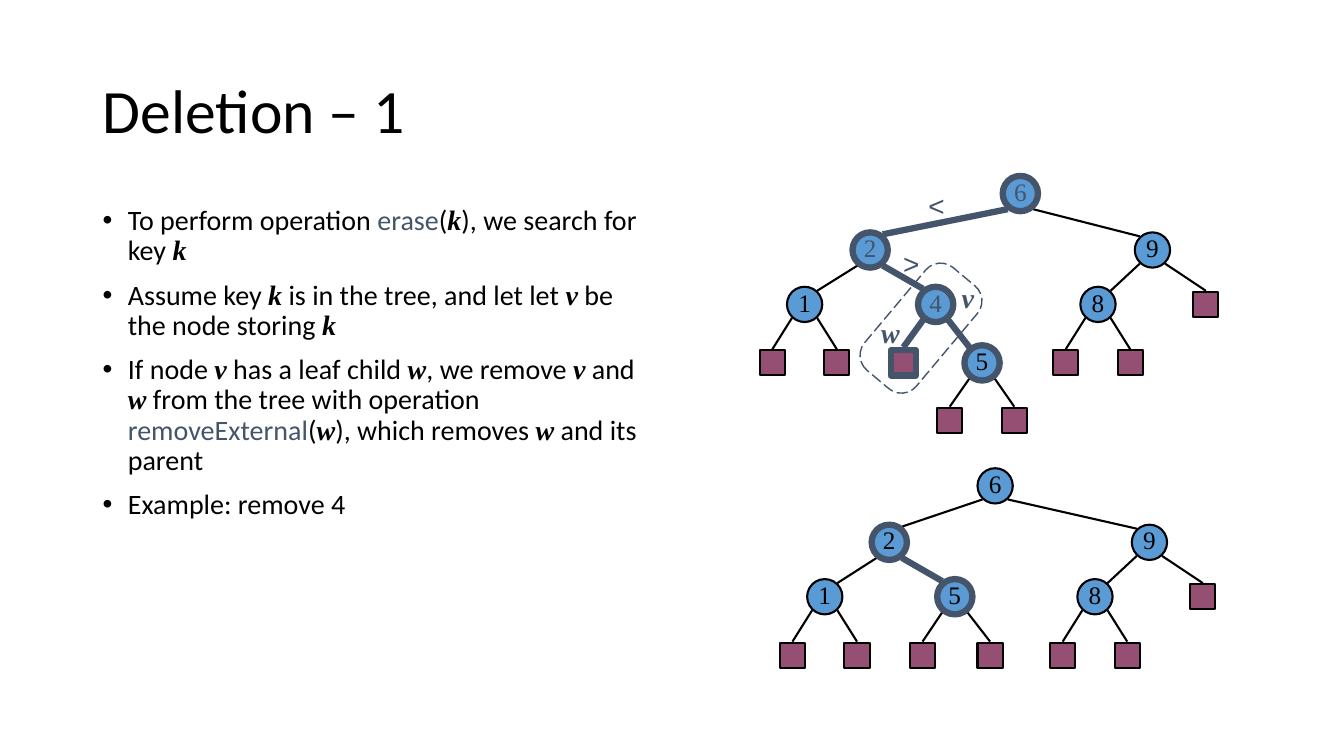
from dataclasses import dataclass
from lxml.etree import SubElement
from pptx import Presentation
from pptx.dml.color import RGBColor
from pptx.enum.dml import MSO_LINE as Dash
from pptx.enum.shapes import MSO_CONNECTOR as Link, MSO_SHAPE as Kind
from pptx.enum.text import MSO_ANCHOR as Anchor, MSO_AUTO_SIZE as Fit, PP_ALIGN as Align
from pptx.oxml.ns import qn
from pptx.util import Inches, Pt

BLACK = RGBColor(0x00, 0x00, 0x00)
SLATE = RGBColor(0x44, 0x54, 0x6A)
BLUE = RGBColor(0x5B, 0x9B, 0xD5)
PLUM = RGBColor(0x95, 0x4F, 0x72)

SERIF = "Times New Roman"
PLAIN = {"name": "Calibri", "size": Pt(20)}
VAR = {"name": SERIF, "size": Pt(20), "bold": True, "italic": True}
SIGN = {"name": "Arial", "size": Pt(20)}
KEY = {"name": SERIF, "size": Pt(18)}
HEAD = {"name": "Calibri", "size": Pt(44)}

ROWS = [0, 0.56, 1.1, 1.68, 2.25]
NODE, LEAF, SIDE = 0.35, 0.25, 0.125

POINTS = [
    "To perform operation *erase*(*k*), we search for key *k*",
    "Assume key *k* is in the tree, and let let *v* be the node storing *k*",
    "If node *v* has a leaf child *w*, we remove *v* and *w* from the tree "
    "with operation *removeExternal*(*w*), which removes *w* and its parent",
    "Example: remove 4",
]

LABELS = [
    ("v", 9.44, 2.73, 0.32, VAR),
    ("w", 8.64, 3.08, 0.39, VAR),
    ("<", 9.11, 1.82, 0.35, SIGN),
    (">", 8.86, 2.4, 0.35, SIGN),
]


@dataclass
class Node:
    key: str
    x: float
    kids: tuple = ()
    bold: bool = False
    ink: RGBColor = BLACK


def leaf(x, bold=False):
    return Node("", x, bold=bold)


def twig(key, x, bold=False, left=0.32, right=0.32):
    return Node(key, x, (leaf(x - left), leaf(x + right)), bold)


def right(x):
    return Node("9", x, (twig("8", x - 0.54), leaf(x + 0.53)))


FOUR = Node("4", 9.28, (leaf(8.96, True), twig("5", 9.74, True)), True, SLATE)
TWO = Node("2", 8.63, (twig("1", 7.98), FOUR), True, SLATE)
BEFORE = Node("6", 10.12, (TWO, right(11.43)), True, SLATE)

FIVE = twig("5", 9.47, True, right=0.35)
AFTER = Node("6", 9.87, (
    Node("2", 8.82, (twig("1", 8.18), FIVE), True),
    right(11.4),
))


def style(item, form):
    for name, value in form.items():
        setattr(item, name, value)


def write(para, text, form, ink):
    run = para.add_run()
    run.text = text
    style(run.font, form)
    run.font.color.rgb = ink


def stroke(line, ink, width):
    line.color.rgb = ink
    line.width = Pt(width)


def pen(bold):
    return (SLATE, 4.5) if bold else (BLACK, 1.5)


def tip(node):
    return 0.155 if node.bold else 0.135


def edge(slide, top, y, kid, low):
    way = 1 if kid.x > top.x else -1
    end = kid.x - way * SIDE if kid.key else kid.x
    line = slide.shapes.add_connector(
        Link.STRAIGHT, Inches(top.x + way * SIDE), Inches(y + tip(top)),
        Inches(end), Inches(low - tip(kid)))
    stroke(line.line, *pen(top.bold and kid.bold))
    SubElement(line._element.spPr, qn("a:effectLst"))


def mark(slide, node, y):
    size = NODE if node.key else LEAF
    kind = Kind.OVAL if node.key else Kind.RECTANGLE
    shape = slide.shapes.add_shape(
        kind, Inches(node.x - size / 2), Inches(y - size / 2), Inches(size), Inches(size))
    shape.shadow.inherit = False
    shape.fill.solid()
    shape.fill.fore_color.rgb = BLUE if node.key else PLUM
    stroke(shape.line, *pen(node.bold))
    if node.key:
        frame = shape.text_frame
        style(frame, {"margin_left": 0, "margin_right": 0, "margin_top": 0,
                      "margin_bottom": Inches(0.05), "word_wrap": False,
                      "vertical_anchor": Anchor.MIDDLE})
        para = frame.paragraphs[0]
        para.alignment = Align.CENTER
        write(para, node.key, KEY, node.ink)


def tree(slide, node, top, depth=0):
    y = top + ROWS[depth]
    for kid in node.kids:
        edge(slide, node, y, kid, top + ROWS[depth + 1])
        tree(slide, kid, top, depth + 1)
    mark(slide, node, y)


def label(slide, text, x, y, width, form):
    box = slide.shapes.add_textbox(Inches(x), Inches(y), Inches(width), Inches(0.43))
    style(box.text_frame, {"word_wrap": False, "auto_size": Fit.SHAPE_TO_FIT_TEXT})
    write(box.text_frame.paragraphs[0], text, form, SLATE)


def ring(slide):
    shape = slide.shapes.add_shape(
        Kind.ROUNDED_RECTANGLE, Inches(8.47), Inches(2.92), Inches(1.33), Inches(0.67))
    shape.adjustments[0] = 0.29
    shape.rotation = 310
    shape.shadow.inherit = False
    shape.fill.background()
    stroke(shape.line, SLATE, 1)
    shape.line.dash_style = Dash.LONG_DASH


def title(slide, text):
    head = slide.shapes.title
    style(head, {"left": Inches(0.92), "top": Inches(0.4),
                 "width": Inches(11.5), "height": Inches(1.45)})
    head.text_frame.vertical_anchor = Anchor.MIDDLE
    para = head.text_frame.paragraphs[0]
    style(para, {"alignment": Align.LEFT, "line_spacing": 0.9})
    write(para, text, HEAD, BLACK)


def bullet(para, text):
    style(para, {"line_spacing": 0.9, "space_before": Pt(10)})
    props = para._p.get_or_add_pPr()
    props.set("marL", str(Inches(0.25)))
    props.set("indent", str(-Inches(0.25)))
    SubElement(props, qn("a:buFont")).set("typeface", "Arial")
    SubElement(props, qn("a:buChar")).set("char", "•")
    for spot, part in enumerate(text.split("*")):
        if part:
            term = spot % 2 == 1
            form = VAR if term and len(part) == 1 else PLAIN
            write(para, part, form, SLATE if term and len(part) > 1 else BLACK)


def body(slide):
    box = slide.shapes.add_textbox(Inches(0.92), Inches(2), Inches(5.67), Inches(4.76))
    frame = box.text_frame
    frame.word_wrap = True
    for spot, text in enumerate(POINTS):
        bullet(frame.add_paragraph() if spot else frame.paragraphs[0], text)


def main():
    deck = Presentation()
    style(deck, {"slide_width": Inches(13.33), "slide_height": Inches(7.5)})
    slide = deck.slides.add_slide(deck.slide_layouts[5])
    title(slide, "Deletion – 1")
    body(slide)
    tree(slide, BEFORE, 1.92)
    tree(slide, AFTER, 4.82)
    for item in LABELS:
        label(slide, *item)
    ring(slide)
    deck.save("out.pptx")


if __name__ == "__main__":
    main()
